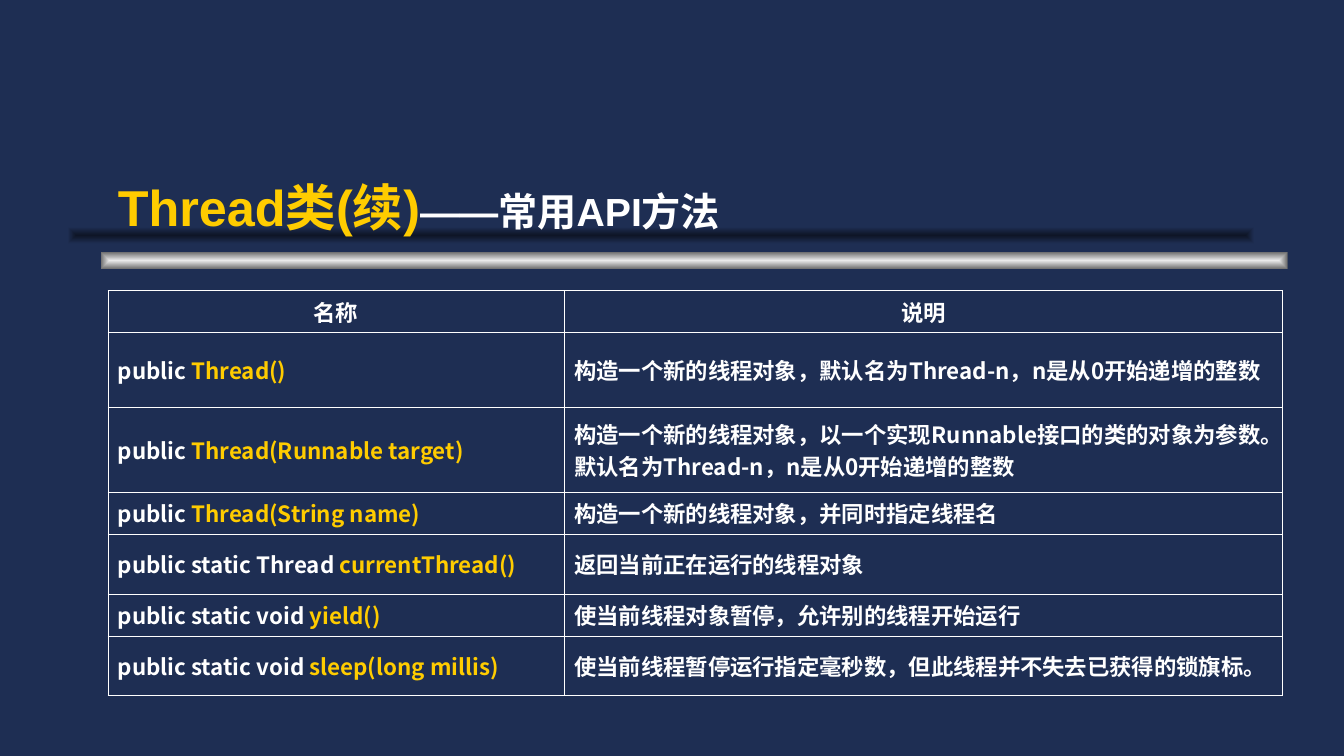
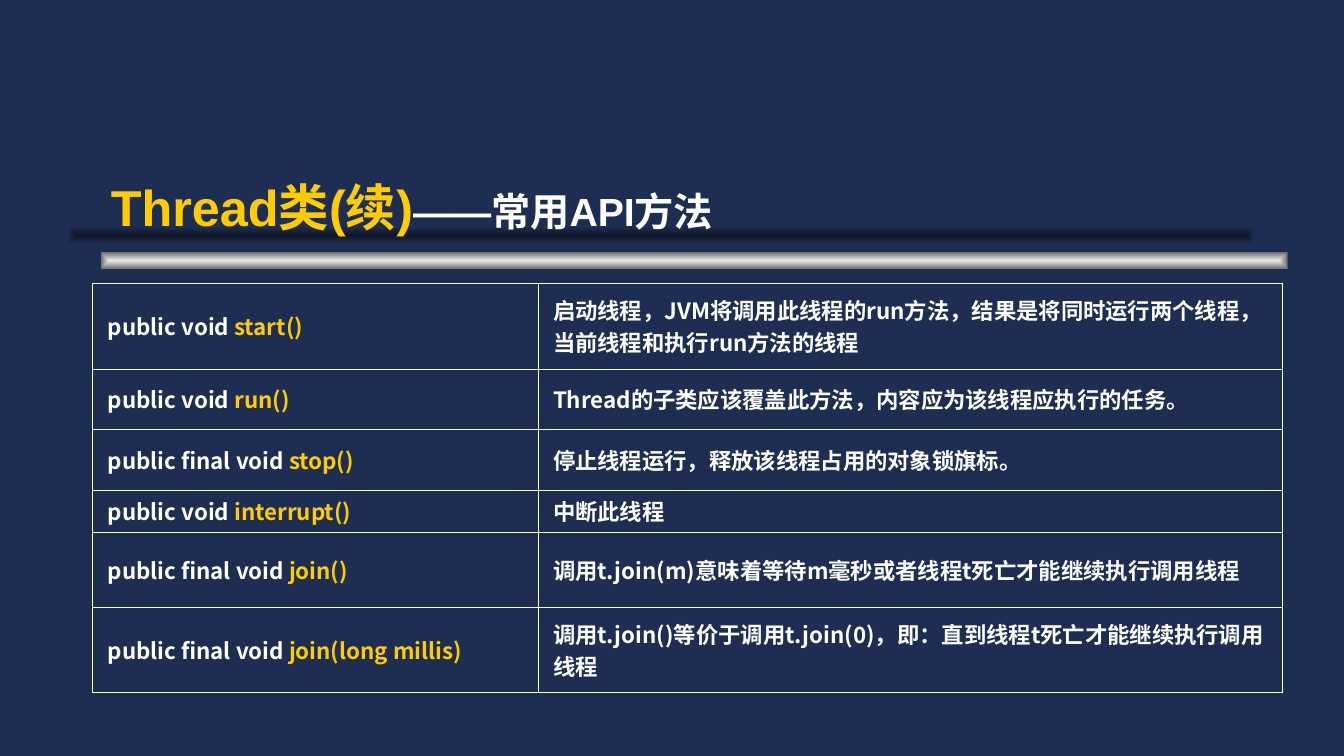
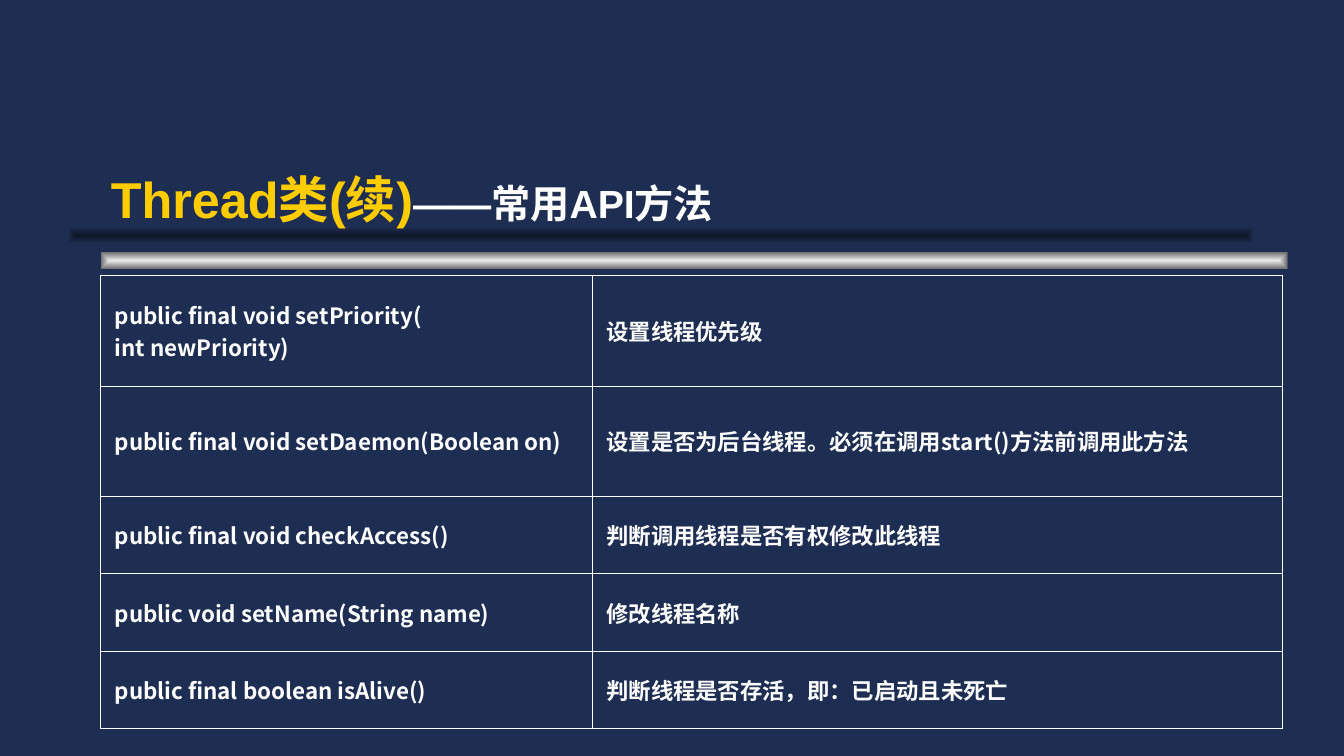
"""Build three slides of Thread class API tables on a shared dark master."""
from dataclasses import dataclass

from lxml import etree
from pptx import Presentation
from pptx.dml.color import RGBColor
from pptx.enum.shapes import MSO_SHAPE
from pptx.enum.text import MSO_ANCHOR, MSO_AUTO_SIZE, PP_ALIGN
from pptx.oxml.ns import qn
from pptx.util import Inches, Pt

RECT = MSO_SHAPE.RECTANGLE
BOTTOM, MIDDLE = MSO_ANCHOR.BOTTOM, MSO_ANCHOR.MIDDLE
LEFT, CENTER = PP_ALIGN.LEFT, PP_ALIGN.CENTER
NO_AUTOFIT = MSO_AUTO_SIZE.NONE


@dataclass(frozen=True)
class Theme:
    back: str = "1E2E53"
    text: str = "FFFFFF"
    accent: str = "FFCC00"
    bar_light: str = "EAEAEA"
    bar_dark: str = "6C6C6C"
    shadow: str = "0E1526"
    title_font: str = "Arial"
    body_font: str = "Noto Sans CJK SC"
    title_size: int = 36
    subtitle_size: int = 28
    body_size: int = 16
    border: float = 0.45


T = Theme()

TITLE = [("Thread类(续)", T.title_size, T.accent),
         ("——常用API方法", T.subtitle_size, T.text)]
TITLE_SIZE = (10.44, 1.25)

BAR_SIZE = (11.78, 0.17)
BARS = [(1, 2.5, T.bar_light, T.bar_dark),
        (0.67, 2.25, T.shadow, T.back)]

SLIDES = [
    {"title_at": (1.07, 1.15), "table_at": (1.07, 2.88), "cols": (4.53, 7.13),
     "margin": 0.1, "header": True, "rows": [
         (0.42, "名称", "", "说明"),
         (0.74, "public ", "Thread()",
          "构造一个新的线程对象，默认名为Thread-n，n是从0开始递增的整数"),
         (0.84, "public ", "Thread(Runnable target)",
          "构造一个新的线程对象，以一个实现Runnable接口的类的对象为参数。"
          "默认名为Thread-n，n是从0开始递增的整数"),
         (0.42, "public ", "Thread(String name)",
          "构造一个新的线程对象，并同时指定线程名"),
         (0.59, "public static Thread ", "currentThread()",
          "返回当前正在运行的线程对象"),
         (0.42, "public static void ", "yield()",
          "使当前线程对象暂停，允许别的线程开始运行"),
         (0.59, "public static void ", "sleep(long millis)",
          "使当前线程暂停运行指定毫秒数，但此线程并不失去已获得的锁旗标。")]},
    {"title_at": (1, 1.15), "table_at": (0.92, 2.81), "cols": (4.42, 7.39),
     "margin": 0.15, "header": False, "rows": [
         (0.85, "public void ", "start()",
          "启动线程，JVM将调用此线程的run方法，结果是将同时运行两个线程，"
          "当前线程和执行run方法的线程"),
         (0.6, "public void ", "run()",
          "Thread的子类应该覆盖此方法，内容应为该线程应执行的任务。"),
         (0.6, "public final void ", "stop()",
          "停止线程运行，释放该线程占用的对象锁旗标。"),
         (0.42, "public void ", "interrupt()", "中断此线程"),
         (0.74, "public final void ", "join()",
          "调用t.join(m)意味着等待m毫秒或者线程t死亡才能继续执行调用线程"),
         (0.85, "public final void ", "join(long millis)",
          "调用t.join()等价于调用t.join(0)，即：直到线程t死亡才能继续执行调用线程")]},
    {"title_at": (1, 1.07), "table_at": (1, 2.73), "cols": (4.88, 6.85),
     "margin": 0.14, "header": False, "rows": [
         (1.1, "public final void setPriority(\nint newPriority)", "",
          "设置线程优先级"),
         (1.09, "public final void setDaemon(Boolean on)", "",
          "设置是否为后台线程。必须在调用start()方法前调用此方法"),
         (0.77, "public final void checkAccess()", "",
          "判断调用线程是否有权修改此线程"),
         (0.77, "public void setName(String name)", "", "修改线程名称"),
         (0.77, "public final boolean isAlive()", "",
          "判断线程是否存活，即：已启动且未死亡")]},
]


def rgb(color):
    return RGBColor.from_string(color)


def add_run(p, text, font, size, color):
    r = p.add_run()
    r.text = text
    r.font.name, r.font.size, r.font.bold = font, Pt(size), True
    r.font.color.rgb = rgb(color)
    latin = r._r.get_or_add_rPr().find(qn("a:latin"))
    ea = etree.Element(qn("a:ea"), typeface=T.body_font)
    latin.addnext(ea)


def add_bar(shapes, left, top, inner, outer):
    sp = shapes.add_shape(RECT, *map(Inches, (left, top, *BAR_SIZE)))
    sp.shadow.inherit = False
    sp.line.fill.background()
    sp.fill.gradient()
    for stop, color in zip(sp.fill.gradient_stops, (inner, outer)):
        stop.color.rgb = rgb(color)
    lin = sp.element.spPr.find(".//" + qn("a:lin"))
    center = etree.Element(qn("a:path"), path="rect")
    etree.SubElement(center, qn("a:fillToRect"),
                     l="50000", t="50000", r="50000", b="50000")
    lin.getparent().replace(lin, center)
    return sp


def style_master(prs, slide):
    master = prs.slide_master
    master.background.fill.solid()
    master.background.fill.fore_color.rgb = rgb(T.back)
    for bar in BARS:
        master.shapes.element.append(add_bar(slide.shapes, *bar).element)


def add_title(slide, at):
    sp = slide.shapes.title
    sp.left, sp.top, sp.width, sp.height = map(Inches, (*at, *TITLE_SIZE))
    tf = sp.text_frame
    tf.auto_size, tf.vertical_anchor = NO_AUTOFIT, BOTTOM
    p = tf.paragraphs[0]
    p.alignment = LEFT
    for text, size, color in TITLE:
        add_run(p, text, T.title_font, size, color)


def fill_cell(cell, runs, margin, align):
    tcPr = cell._tc.get_or_add_tcPr()
    for side in ("lnL", "lnR", "lnT", "lnB"):
        ln = etree.SubElement(tcPr, qn("a:" + side), w=str(Pt(T.border)))
        fill = etree.SubElement(ln, qn("a:solidFill"))
        etree.SubElement(fill, qn("a:srgbClr"), val=T.text)
    cell.fill.background()
    cell.vertical_anchor = MIDDLE
    cell.margin_left = cell.margin_right = Inches(margin)
    tf = cell.text_frame
    p = tf.paragraphs[0]
    p.alignment = align
    for text, color in runs:
        for i, line in enumerate(text.split("\n")):
            if i:
                p = tf.add_paragraph()
                p.alignment = align
            if line:
                add_run(p, line, T.body_font, T.body_size, color)


def add_api_table(slide, data):
    rows, cols = data["rows"], data["cols"]
    size = (sum(cols), sum(row[0] for row in rows))
    table = slide.shapes.add_table(
        len(rows), len(cols), *map(Inches, (*data["table_at"], *size))).table
    table.first_row = table.horz_banding = False
    for col, width in zip(table.columns, cols):
        col.width = Inches(width)
    for i, (height, plain, accent, note) in enumerate(rows):
        table.rows[i].height = Inches(height)
        align = CENTER if data["header"] and i == 0 else LEFT
        cells = ([(plain, T.text), (accent, T.accent)], [(note, T.text)])
        for j, runs in enumerate(cells):
            fill_cell(table.cell(i, j), runs, data["margin"], align)


def main():
    prs = Presentation()
    prs.slide_width, prs.slide_height = Inches(13.34), Inches(7.5)
    title_only = prs.slide_layouts[5]
    for i, data in enumerate(SLIDES):
        slide = prs.slides.add_slide(title_only)
        if i == 0:
            style_master(prs, slide)
        add_title(slide, data["title_at"])
        add_api_table(slide, data)
    prs.save("out.pptx")


if __name__ == "__main__":
    main()
